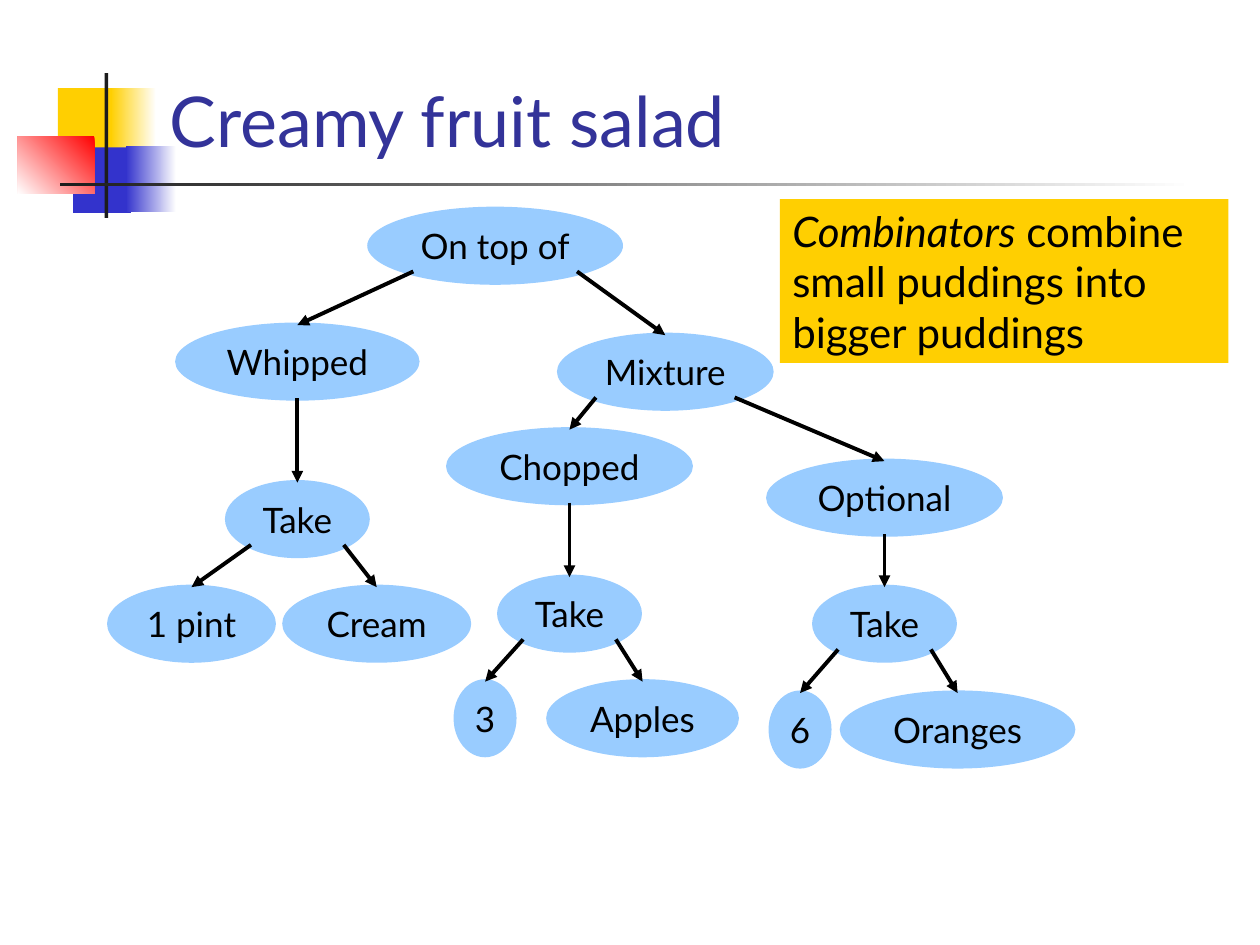
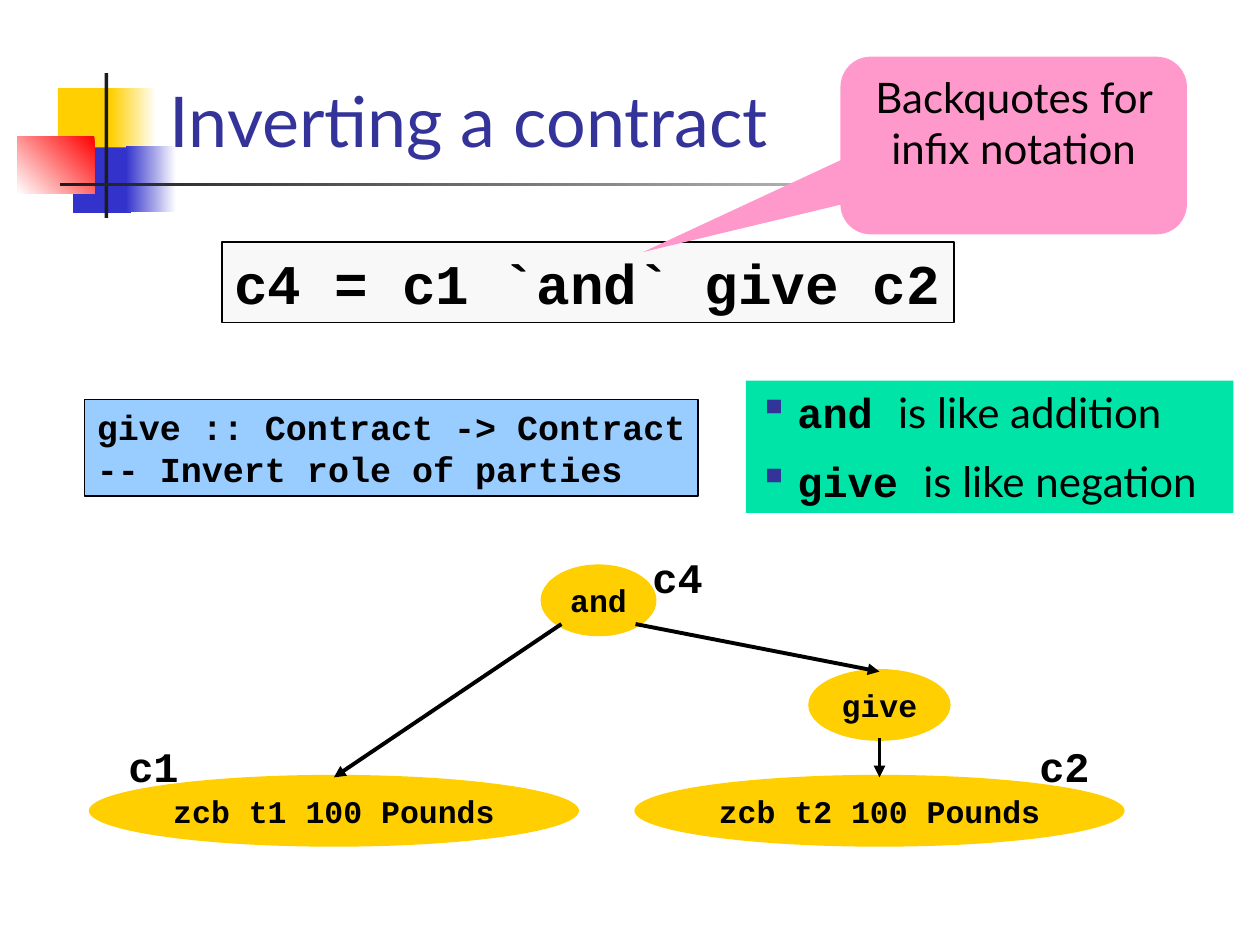
import pptx
import pptx.util
import pptx.dml.color
import pptx.enum.shapes
import pptx.enum.text
import pptx.oxml.ns
from lxml import etree

Inches, Pt = pptx.util.Inches, pptx.util.Pt
RGBColor = pptx.dml.color.RGBColor
SHAPE = pptx.enum.shapes.MSO_SHAPE
ANCHOR = pptx.enum.text.MSO_ANCHOR
ALIGN = pptx.enum.text.PP_ALIGN
qn = pptx.oxml.ns.qn

BLACK = RGBColor(0x00, 0x00, 0x00)
WHITE = RGBColor(0xFF, 0xFF, 0xFF)
CHARCOAL = RGBColor(0x1C, 0x1C, 0x1C)
YELLOW = RGBColor(0xFF, 0xCF, 0x01)
BLUE = RGBColor(0x33, 0x33, 0xCC)
RED = RGBColor(0xFF, 0x00, 0x00)
INDIGO = RGBColor(0x33, 0x33, 0x99)
SKY = RGBColor(0x99, 0xCC, 0xFF)
PALE = RGBColor(0xF8, 0xF8, 0xF8)
MINT = RGBColor(0x00, 0xE4, 0xA8)
PINK = RGBColor(0xFF, 0x99, 0xCC)

SANS, MONO = "Lato", "Courier New"

# (left, top, width, height), then one colour or (start, end, counter-clockwise angle)
MOTIF = [
    ((0.46, 0.7, 0.48, 0.52), YELLOW),
    ((0.88, 0.7, 0.36, 0.52), (WHITE, YELLOW, 180)),
    ((0.58, 1.17, 0.46, 0.52), BLUE),
    ((1, 1.16, 0.4, 0.52), (WHITE, BLUE, 180)),
    ((0.14, 1.08, 0.61, 0.46), (RED, WHITE, 225)),
    ((0.83, 0.58, 0.03, 1.15), CHARCOAL),
    ((0.48, 1.45, 9, 0.03), (WHITE, CHARCOAL, 180)),
]
TITLE_BOX = (1.25, 0.08, 8.52, 1.25)

# Tree node: (text, centre x, top, width, children)
PUDDING = ("On top of", 3.93, 1.64, 2.03, [
    ("Whipped", 2.36, 2.56, 1.94, [
        ("Take", 2.36, 3.81, 1.15, [
            ("1 pint", 1.52, 4.64, 1.34, []),
            ("Cream", 2.99, 4.64, 1.5, [])])]),
    ("Mixture", 5.28, 2.64, 1.72, [
        ("Chopped", 4.52, 3.39, 1.96, [
            ("Take", 4.52, 4.56, 1.15, [
                ("3", 3.85, 5.39, 0.5, []),
                ("Apples", 5.1, 5.39, 1.53, [])])]),
        ("Optional", 7.02, 3.64, 1.88, [
            ("Take", 7.02, 4.64, 1.15, [
                ("6", 6.35, 5.48, 0.5, []),
                ("Oranges", 7.6, 5.48, 1.87, [])])])])])
CONTRACT = ("and", 4.75, 4.48, 0.92, [
    ("zcb t1 100 Pounds", 2.65, 6.15, 3.89, []),
    ("give", 6.98, 5.31, 1.13, [
        ("zcb t2 100 Pounds", 6.98, 6.15, 3.89, [])])])
CONTRACT_LABELS = [("c2", 8.15, 5.83), ("c4", 5.08, 4.33), ("c1", 0.92, 5.83)]

# Tree look: (fill, node height, text style)
PUDDING_LOOK = (SKY, 0.62, dict(size=20))
CONTRACT_LOOK = (YELLOW, 0.57, dict(size=18, font=MONO, bold=True))

# Paragraphs are lists of runs: (text, style)
COMBINATORS = [[("Combinators", dict(size=24, italic=True)),
                (" combine small puddings into bigger puddings", dict(size=24))]]
EQUATION = [[("c4 = c1 `and` give c2", dict(size=32, font=MONO, bold=True))]]
SIGNATURE = [[(line, dict(size=20, font=MONO, bold=True))]
             for line in ("give :: Contract -> Contract", "-- Invert role of parties")]
ANALOGIES = [[(word, dict(size=24, font=MONO, bold=True)), (meaning, dict(size=24))]
             for word, meaning in (("and ", "is like addition"), ("give ", "is like negation"))]
BACKQUOTES = [[("Backquotes for infix notation", dict(size=24))]]


def write(shape, paragraphs, align=ALIGN.LEFT, anchor=ANCHOR.TOP, wrap=True, gap=0, bullet=None):
    frame = shape.text_frame
    frame.word_wrap = wrap
    frame.vertical_anchor = anchor
    for index, runs in enumerate(paragraphs):
        paragraph = frame.paragraphs[0] if index == 0 else frame.add_paragraph()
        if bullet:
            add_bullet(paragraph, bullet)
        paragraph.alignment = align
        if index and gap:
            paragraph.space_before = Pt(gap)
        for text, style in runs:
            run = paragraph.add_run()
            run.text = text
            run.font.name = style.get("font", SANS)
            run.font.size = Pt(style["size"])
            run.font.bold = style.get("bold", False)
            run.font.italic = style.get("italic", False)
            run.font.color.rgb = style.get("color", BLACK)


def add_bullet(paragraph, color):
    properties = paragraph._p.get_or_add_pPr()
    properties.set("marL", str(Inches(0.31)))
    properties.set("indent", str(-Inches(0.31)))
    bullet_color = etree.SubElement(properties, qn("a:buClr"))
    etree.SubElement(bullet_color, qn("a:srgbClr"), val=str(color))
    etree.SubElement(properties, qn("a:buChar"), char="▪")


def add_panel(slide, box, fill, kind=SHAPE.RECTANGLE, outline=None):
    """Add a preset shape with a solid or two-colour fill."""
    panel = slide.shapes.add_shape(kind, *map(Inches, box))
    panel.shadow.inherit = False
    if isinstance(fill, RGBColor):
        panel.fill.solid()
        panel.fill.fore_color.rgb = fill
    else:
        *colors, angle = fill
        panel.fill.gradient()
        panel.fill.gradient_angle = angle
        for stop, position, color in zip(panel.fill.gradient_stops, (0, 1), colors):
            stop.position = position
            stop.color.rgb = color
    if outline is None:
        panel.line.fill.background()
    else:
        panel.line.color.rgb = outline
        panel.line.width = Pt(1)
    return panel


def add_text(slide, box, paragraphs, **layout):
    write(slide.shapes.add_textbox(*map(Inches, box)), paragraphs, **layout)


def add_arrow(slide, start, end):
    arrow = slide.shapes.add_connector(
        pptx.enum.shapes.MSO_CONNECTOR.STRAIGHT, *map(Inches, (*start, *end)))
    arrow.line.color.rgb = BLACK
    arrow.line.width = Pt(2.25)
    etree.SubElement(arrow.line._get_or_add_ln(), qn("a:tailEnd"), type="triangle")
    etree.SubElement(arrow._element.spPr, qn("a:effectLst"))


def draw_tree(slide, node, look):
    """Draw a node, then its subtrees, each with an arrow from the node."""
    text, center, top, width, children = node
    fill, height, style = look
    oval = add_panel(slide, (center - width / 2, top, width, height), fill, SHAPE.OVAL)
    write(oval, [[(text, style)]], ALIGN.CENTER, ANCHOR.MIDDLE, wrap=False)
    for child in children:
        draw_tree(slide, child, look)
        child_center, child_top = child[1:3]
        if len(children) == 1:
            start = (center, top + height - 0.02)
        else:
            side = 1 if child_center > center else -1
            start = (center + side * 0.32 * width, top + 0.83 * height)
        add_arrow(slide, start, (child_center, child_top + 0.02))


def add_titled_slide(deck, title):
    slide = deck.slides.add_slide(deck.slide_layouts[6])
    for box, fill in MOTIF:
        add_panel(slide, box, fill)
    add_text(slide, TITLE_BOX, [[(title, dict(size=40, color=INDIGO))]], anchor=ANCHOR.BOTTOM)
    return slide


def build_pudding_slide(deck):
    slide = add_titled_slide(deck, "Creamy fruit salad")
    draw_tree(slide, PUDDING, PUDDING_LOOK)
    write(add_panel(slide, (6.19, 1.58, 3.56, 1.3), YELLOW), COMBINATORS)


def build_contract_slide(deck):
    slide = add_titled_slide(deck, "Inverting a contract")
    draw_tree(slide, CONTRACT, CONTRACT_LOOK)
    for label, left, top in CONTRACT_LABELS:
        add_text(slide, (left, top, 0.6, 0.5),
                 [[(label, dict(size=24, font=MONO, bold=True))]], wrap=False)
    write(add_panel(slide, (0.67, 3.17, 4.87, 0.77), SKY, outline=BLACK), SIGNATURE, wrap=False)
    write(add_panel(slide, (1.76, 1.92, 5.81, 0.64), PALE, outline=BLACK), EQUATION, wrap=False)
    write(add_panel(slide, (5.92, 3.02, 3.87, 1.05), MINT), ANALOGIES,
          wrap=False, gap=10.5, bullet=INDIGO)
    callout = add_panel(slide, (6.67, 0.45, 2.75, 1.41), PINK, SHAPE.ROUNDED_RECTANGULAR_CALLOUT)
    for index, value in enumerate((-1.07, 0.6, 0.17)):
        callout.adjustments[index] = value
    write(callout, BACKQUOTES, ALIGN.CENTER)


def main():
    deck = pptx.Presentation()
    deck.slide_width, deck.slide_height = Inches(10), Inches(7.5)
    build_pudding_slide(deck)
    build_contract_slide(deck)
    deck.save("out.pptx")


if __name__ == "__main__":
    main()
